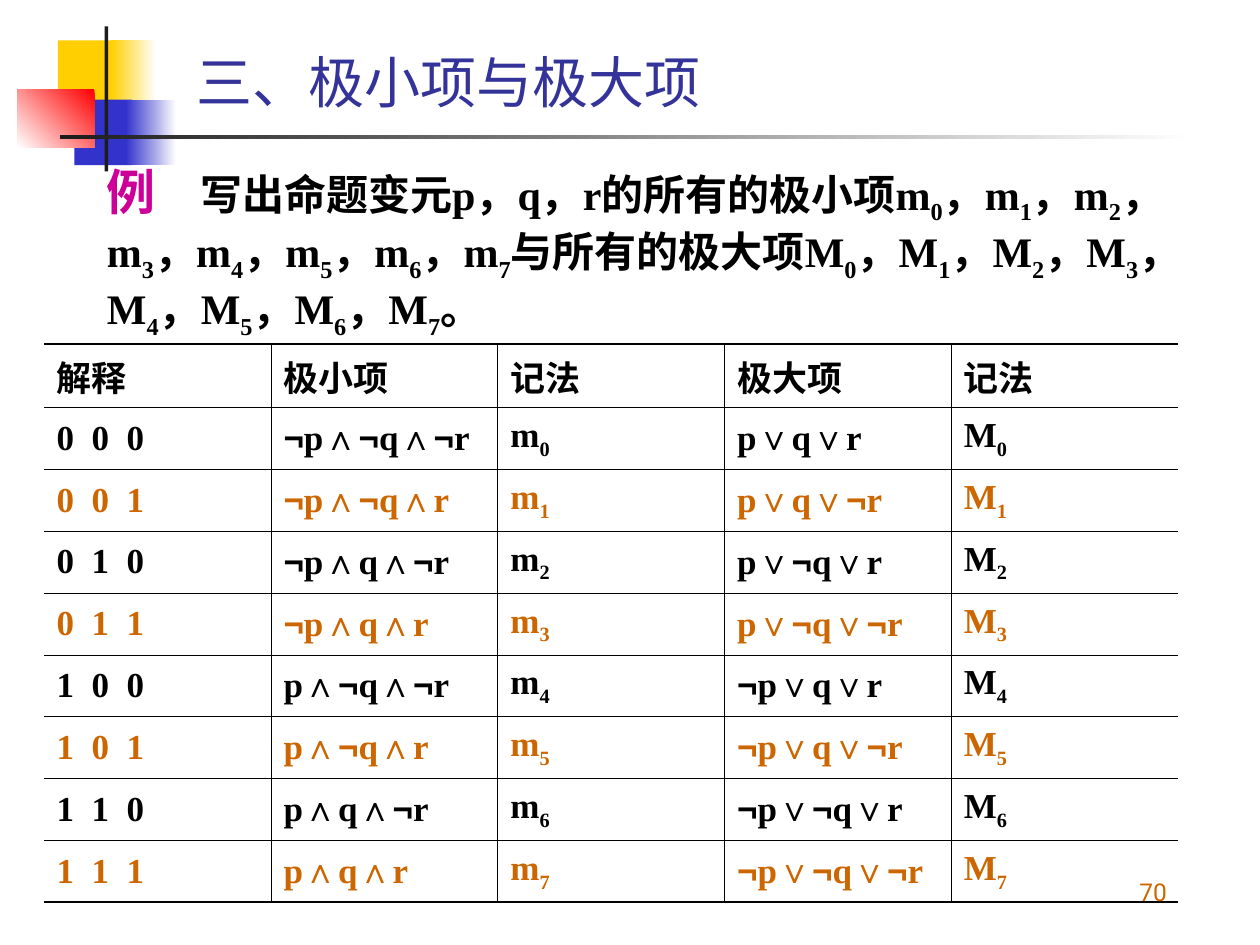
import itertools
import dataclasses
import pptx
import pptx.dml.color
import pptx.enum.shapes
import pptx.enum.text
import pptx.oxml
import pptx.oxml.ns
import pptx.util

Inches = pptx.util.Inches
Pt = pptx.util.Pt
Anchor = pptx.enum.text.MSO_ANCHOR
Align = pptx.enum.text.PP_ALIGN
NS = pptx.oxml.ns.nsdecls("a")


@dataclasses.dataclass(frozen=True)
class Theme:
    ink: str = "000000"
    dark: str = "1C1C1C"
    white: str = "FFFFFF"
    gold: str = "FFCF01"
    blue: str = "3333CC"
    red: str = "FF0000"
    navy: str = "333399"
    pink: str = "CC0099"
    rust: str = "CC6600"
    serif: str = "Times New Roman"
    sans: str = "Arial"
    head: str = "Roboto"
    title: int = 32
    mark: int = 28
    body: int = 24
    cell: int = 20
    page: int = 14
    thin: float = 0.45
    thick: float = 1.08


T = Theme()


def color(code):
    return pptx.dml.color.RGBColor.from_string(code)


def style(font, name, size, code, bold=False):
    font.name, font.size, font.bold = name, Pt(size), bold
    font.color.rgb = color(code)


def kind(char):
    if char in "¬∧∨":
        return "sign"
    return "index" if char.isdigit() else "plain"


def write(par, text):
    for sort, chars in itertools.groupby(text, kind):
        run = par.add_run()
        run.text = "".join(chars)
        if sort == "sign":
            run.font.name = T.sans
        elif sort == "index":
            run.font._element.set("baseline", "-25000")


def block(slide, box, stops, angle=180):
    rect = slide.shapes.add_shape(
        pptx.enum.shapes.MSO_SHAPE.RECTANGLE, *map(Inches, box))
    rect.shadow.inherit = False
    rect.line.fill.background()
    if len(stops) == 1:
        rect.fill.solid()
        rect.fill.fore_color.rgb = color(stops[0])
        return
    rect.fill.gradient()
    rect.fill.gradient_angle = angle
    for stop, code in zip(rect.fill.gradient_stops, stops):
        stop.color.rgb = color(code)


def emblem(slide, left, top):
    def place(x, y, wide, high, *stops, angle=180):
        block(slide, (left + x, top + y, wide, high), stops, angle)

    place(0.32, 0.11, 0.48, 0.52, T.gold)
    place(0.74, 0.11, 0.36, 0.52, T.white, T.gold)
    place(0.45, 0.58, 0.46, 0.52, T.blue)
    place(0.86, 0.58, 0.4, 0.52, T.white, T.blue)
    place(0, 0.5, 0.61, 0.46, T.red, T.white, angle=225)
    place(0.69, 0, 0.03, 1.15, T.dark)
    place(0.34, 0.86, 9, 0.03, T.white, T.dark)


def heading(slide, box, text):
    shape = slide.shapes.title
    shape.left, shape.top, shape.width, shape.height = map(Inches, box)
    frame = shape.text_frame
    frame.vertical_anchor = Anchor.MIDDLE
    par = frame.paragraphs[0]
    par.text = text
    par.alignment = Align.LEFT
    style(par.font, T.head, T.title, T.navy)


def textbox(slide, box):
    frame = slide.shapes.add_textbox(*map(Inches, box)).text_frame
    frame.word_wrap = True
    return frame


def task(slide, box):
    par = textbox(slide, box).paragraphs[0]
    tabs = pptx.oxml.parse_xml(
        f'<a:tabLst {NS}><a:tab pos="{Inches(0.74)}" algn="l"/></a:tabLst>')
    par._p.get_or_add_pPr().append(tabs)
    style(par.font, T.serif, T.body, T.ink, True)
    mark = par.add_run()
    mark.text = "例"
    style(mark.font, T.serif, T.mark, T.pink, True)
    small, large = ("，".join(f"{name}{i}" for i in range(8)) for name in "mM")
    write(par, f"\t写出命题变元p，q，r的所有的极小项{small}与所有的极大项{large}。")


def border(cell, sides):
    props = cell._tc.get_or_add_tcPr()
    for i, (side, width) in enumerate(sides.items()):
        fill = (f'<a:solidFill><a:srgbClr val="{T.ink}"/></a:solidFill>'
                if width else "<a:noFill/>")
        props.insert(i, pptx.oxml.parse_xml(
            f'<a:ln{side} {NS} w="{Pt(width)}">{fill}</a:ln{side}>'))


def term(bits, sign, negate):
    return sign.join(("¬" if bit == negate else "") + name
                     for bit, name in zip(bits, "pqr"))


def grid(slide, box):
    rows = [("解释", "极小项", "记法", "极大项", "记法")]
    for i, bits in enumerate(itertools.product("01", repeat=3)):
        rows.append(("  ".join(bits), term(bits, "∧", "0"), f"m{i}",
                     term(bits, "∨", "1"), f"M{i}"))
    high, wide = len(rows), len(rows[0])
    table = slide.shapes.add_table(high, wide, *map(Inches, box)).table
    table.first_row = table.horz_banding = False
    for y, row in enumerate(rows):
        shade = T.rust if y and y % 2 == 0 else T.ink
        for x, text in enumerate(row):
            cell = table.cell(y, x)
            cell.vertical_anchor = Anchor.MIDDLE
            cell.fill.background()
            border(cell, {
                "L": T.thin if x else 0,
                "R": T.thin if x < wide - 1 else 0,
                "T": T.thin if y else T.thick,
                "B": T.thin if y < high - 1 else T.thick})
            par = cell.text_frame.paragraphs[0]
            style(par.font, T.serif, T.cell, shade, True)
            if x:
                write(par, text)
            else:
                par.add_run().text = text


def number(slide, box, text):
    frame = textbox(slide, box)
    frame.vertical_anchor = Anchor.BOTTOM
    par = frame.paragraphs[0]
    par.text = text
    par.alignment = Align.RIGHT
    style(par.font, T.head, T.page, T.rust)


def main():
    deck = pptx.Presentation()
    deck.slide_width, deck.slide_height = Inches(10), Inches(7.5)
    slide = deck.slides.add_slide(deck.slide_layouts[5])
    emblem(slide, 0.14, 0.21)
    heading(slide, (1.46, 0.3, 8.04, 0.69), "三、极小项与极大项")
    grid(slide, (0.35, 2.73, 9, 4.42))
    task(slide, (0.75, 1.23, 9.02, 1.52))
    number(slide, (7.28, 6.74, 2.08, 0.5), "70")
    deck.save("out.pptx")


if __name__ == "__main__":
    main()
